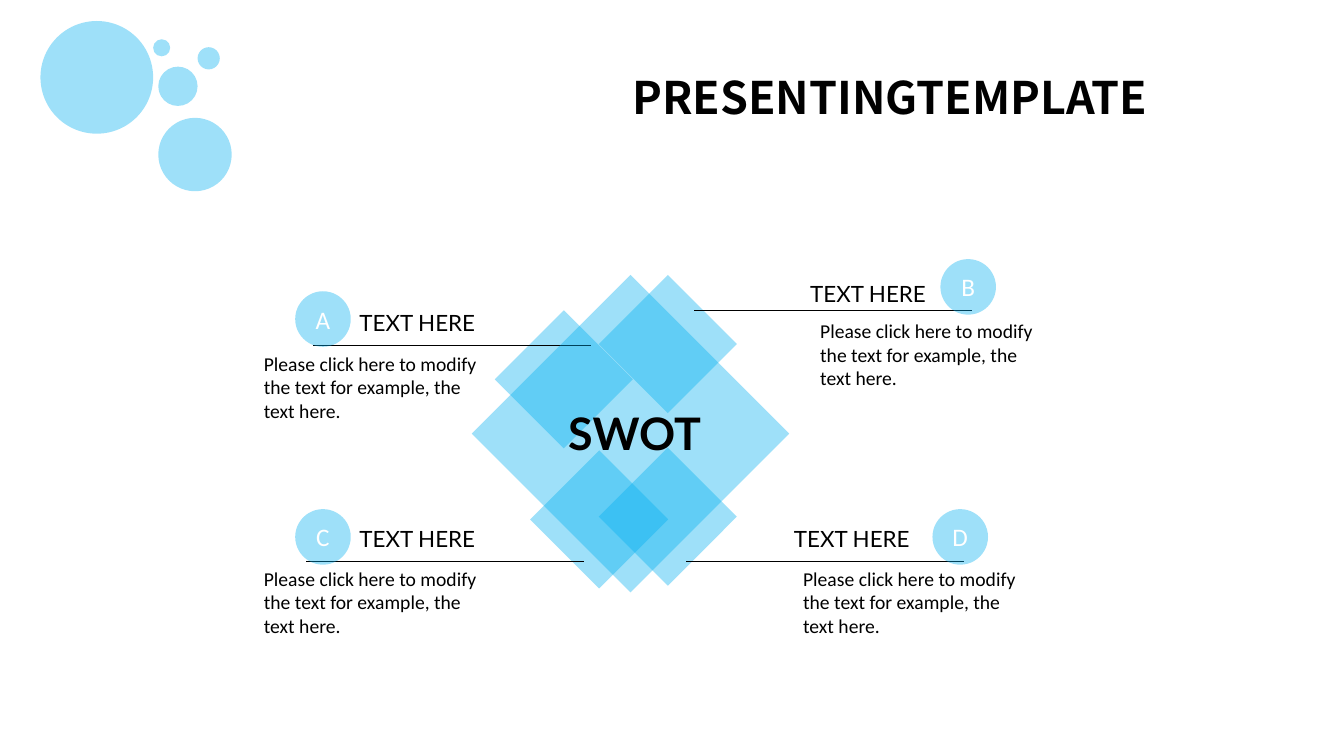
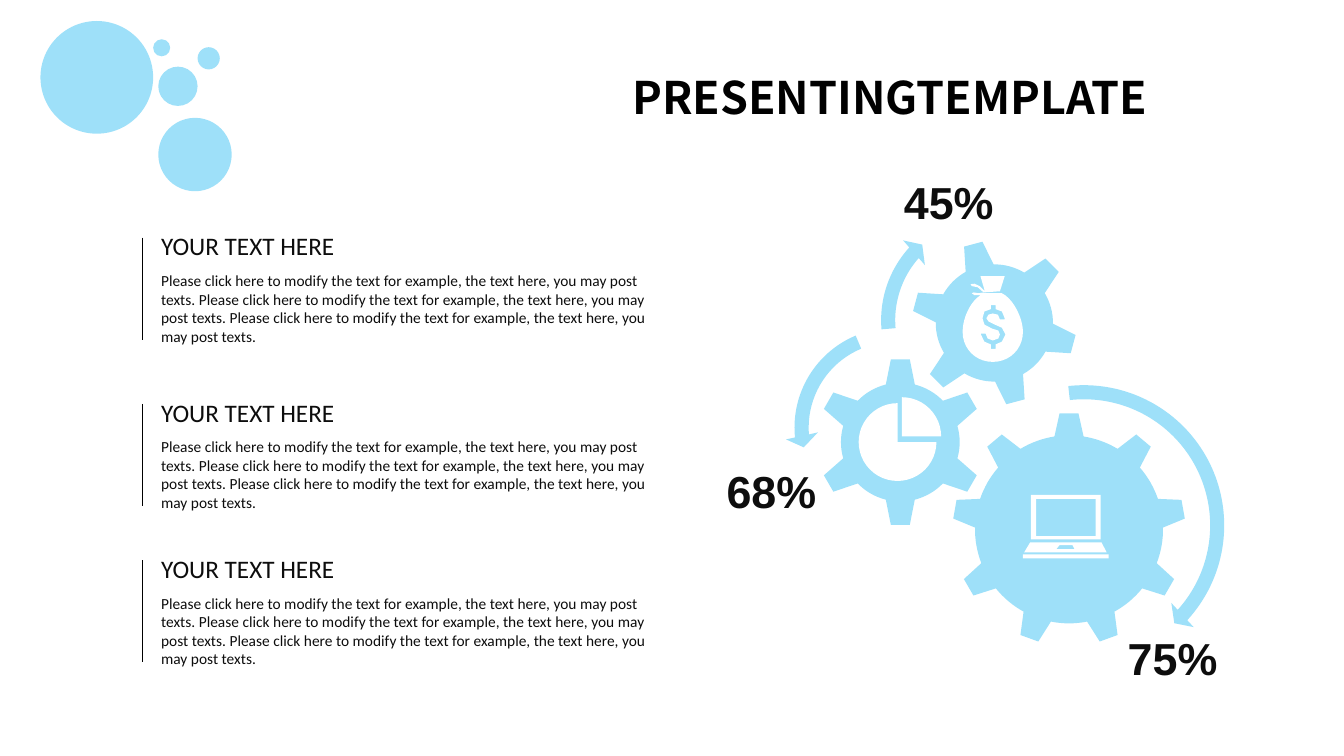
"""Build a SWOT slide and a gear slide that share one title and bubble design."""
from math import atan2, cos, hypot, radians, sin

from lxml.etree import SubElement
from pptx import Presentation
from pptx.dml.color import RGBColor
from pptx.enum.shapes import MSO_CONNECTOR, MSO_SHAPE as SHAPE
from pptx.enum.text import MSO_ANCHOR as ANCHOR, MSO_AUTO_SIZE as AUTO_SIZE, PP_ALIGN as ALIGN
from pptx.oxml.ns import qn
from pptx.util import Cm, Pt

SKY = RGBColor(0x00, 0xB0, 0xF0)
WHITE = RGBColor(0xFF, 0xFF, 0xFF)
BLACK = RGBColor(0x00, 0x00, 0x00)
INK = RGBColor(0x0D, 0x0D, 0x0D)
SKY_ALPHA = "38000"

TITLE = {"name": "Noto Sans CJK SC", "size": Pt(32), "bold": True}
HUB = {"name": "Lato", "size": Pt(32), "bold": True}
LABEL = {"name": "Lato", "size": Pt(16)}
BADGE = {"name": "Calibri", "size": Pt(18)}
NOTE = {"name": "Calibri", "size": Pt(14)}
HEADING = {"name": "Calibri", "size": Pt(18)}
DETAIL = {"name": "Calibri", "size": Pt(11)}
PERCENT = {"name": "Arial", "size": Pt(32), "bold": True}

TITLE_TEXT = "PRESENTINGTEMPLATE"
BUBBLES = [(1.02, 0.53, 2.84), (3.86, 0.99, 0.43), (4.98, 1.19, 0.56),
           (3.99, 1.68, 0.99), (3.99, 2.97, 1.85)]

DIAMOND_SIZE = 3.48
DIAMONDS = [(12.47, 7.82), (13.36, 11.35), (15.09, 11.28), (15.09, 6.93)]
RULE_LENGTH = 7
BADGE_SIZE = 1.4
NOTE_TEXT = "Please click here to modify the text for example, the text here."
SWOT_ITEMS = [
    ("A", (7.9, 8.69), (7.44, 7.34), (8.81, 7.67), (6.4, 8.74, 5.97)),
    ("B", (17.5, 7.82), (23.7, 6.53), (20.17, 6.93), (20.42, 7.92, 6.32)),
    ("C", (7.72, 14.15), (7.44, 12.83), (8.81, 13.11), (6.4, 14.15, 5.97)),
    ("D", (17.3, 14.15), (23.5, 12.83), (19.76, 13.11), (19.99, 14.15, 6.32)),
]

DETAIL_TEXT = " ".join(
    ["Please click here to modify the text for example, the text here, you may post texts."] * 3)
BLOCK_TOPS = [5.69, 9.88, 13.82]
GEARS = [((26.94, 13.34), 9, 0, 2.36, 2.93),
         ((22.69, 11.14), 6, 0, 1.47, 2.1),
         ((25.06, 8.14), 6, -15, 1.45, 2.07)]
ROOT_HALF, TIP_HALF = 0.37, 0.24
ARROWS = [
    (SHAPE.CIRCULAR_ARROW, 23.55, 9.47, 7.54, (0.047, 2.99, 25.393, 158.123, 0.055)),
    (SHAPE.LEFT_CIRCULAR_ARROW, 19.79, 8.03, 5.49, (0.065, 4.3, 104.891, 148.378, 0.075)),
    (SHAPE.CIRCULAR_ARROW, 21.97, 5.11, 5.92, (0.06, 3.941, 133.138, 105.082, 0.07)),
]
PIES = [(21.64, 10.16, 1.96, (0, 162)), (21.74, 10.01, 1.98, (162, 0))]
PERCENTS = [("45%", 22.53, 4.27), ("68%", 18.06, 11.56), ("75%", 28.17, 15.77)]

LAPTOP_BASE = [(25.96, 13.67), (27.76, 13.67), (27.89, 13.92), (25.81, 13.92)]
LAPTOP_PAD = [(26.62, 13.84), (26.7, 13.74), (27.03, 13.74), (27.08, 13.84)]
BAG_NECK = [(25.2, 7.34), (25.32, 6.96), (24.71, 6.96), (24.82, 7.34), (24.69, 7.21),
            (24.56, 7.15), (24.46, 7.16), (24.49, 7.21), (24.64, 7.24), (24.79, 7.37)]
BAG_CURVE = [(25.25, 7.39), (25.55, 7.54), (25.78, 8.03), (25.78, 8.36),
             (25.78, 8.79), (25.45, 9.12), (25.02, 9.12),
             (24.59, 9.12), (24.26, 8.79), (24.26, 8.36),
             (24.26, 8.05), (24.43, 7.62), (24.71, 7.44)]
BAG_TIE = [(24.64, 7.44), (24.56, 7.44), (24.49, 7.39), (24.54, 7.37),
           (24.66, 7.39), (24.79, 7.37), (24.77, 7.39)]
DOLLAR_CENTRE = (25.03, 8.24)
DOLLAR = [(0.22, 0.37), (0.06, 0.44), (0.06, 0.55), (-0.06, 0.55), (-0.06, 0.44),
          (-0.22, 0.37), (-0.31, 0.19), (-0.31, 0.17), (-0.19, 0.17), (-0.14, 0.29),
          (-0.01, 0.34), (0.13, 0.29), (0.17, 0.19), (0.13, 0.09), (-0.03, 0.04),
          (-0.22, -0.06), (-0.27, -0.22), (-0.22, -0.39), (-0.06, -0.45), (-0.06, -0.55),
          (0.06, -0.55), (0.06, -0.45), (0.22, -0.39), (0.29, -0.22), (0.29, -0.19),
          (0.17, -0.19), (0.12, -0.31), (-0.01, -0.34), (-0.12, -0.31), (-0.17, -0.22),
          (-0.12, -0.14), (0.02, -0.07), (0.22, 0.02), (0.31, 0.19)]


def paint(shape, colour):
    """Give a shape a plain fill, translucent when it is sky blue."""
    shape.shadow.inherit = False
    shape.line.fill.background()
    shape.fill.solid()
    shape.fill.fore_color.rgb = colour
    if colour == SKY:
        solid = shape._element.spPr.find(qn("a:solidFill"))
        SubElement(solid[0], qn("a:alpha"), val=SKY_ALPHA)
    return shape


def write(frame, text, style, colour, align=ALIGN.LEFT, anchor=ANCHOR.TOP, wrap=True):
    """Put one styled paragraph into a text frame."""
    layout = {"word_wrap": wrap, "auto_size": AUTO_SIZE.NONE, "vertical_anchor": anchor}
    for key, value in layout.items():
        setattr(frame, key, value)
    para = frame.paragraphs[0]
    para.alignment = align
    span = para.add_run()
    span.text = text
    for key, value in style.items():
        setattr(span.font, key, value)
    span.font.color.rgb = colour


def add_text(page, text, left, top, width, height, style, colour, **layout):
    """Add a text box with one paragraph."""
    box = page.shapes.add_textbox(Cm(left), Cm(top), Cm(width), Cm(height))
    write(box.text_frame, text, style, colour, **layout)


def add_figure(page, kind, left, top, size, colour=SKY, adjustments=()):
    """Add a preset shape with equal width and height."""
    shape = page.shapes.add_shape(kind, Cm(left), Cm(top), Cm(size), Cm(size))
    for index, value in enumerate(adjustments):
        shape.adjustments[index] = value
    return paint(shape, colour)


def add_rule(page, left, top, right, bottom):
    """Add a thin black line."""
    rule = page.shapes.add_connector(
        MSO_CONNECTOR.STRAIGHT, Cm(left), Cm(top), Cm(right), Cm(bottom))
    rule.line.color.rgb = BLACK
    rule.line.width = Pt(0.5)
    SubElement(rule._element.spPr, qn("a:effectLst"))


def add_outline(page, contours, colour):
    """Add one freeform whose inner contours are holes."""
    contours = [[(Cm(x), Cm(y)) for x, y in contour] for contour in contours]
    builder = page.shapes.build_freeform(*contours[0][0])
    for index, contour in enumerate(contours):
        if index:
            builder.move_to(*contour[0])
        builder.add_line_segments(contour[1:], close=True)
    paint(builder.convert_to_shape(), colour)


def rectangle(left, top, right, bottom):
    """Return the corners of a rectangle."""
    return [(left, top), (right, top), (right, bottom), (left, bottom)]


def curve(points, steps=10):
    """Sample a chain of cubic Bezier curves."""
    samples = [points[0]]
    for first in range(0, len(points) - 1, 3):
        controls = points[first:first + 4]
        for step in range(1, steps + 1):
            t = step / steps
            weights = ((1 - t) ** 3, 3 * t * (1 - t) ** 2, 3 * t * t * (1 - t), t ** 3)
            samples.append(tuple(
                sum(weight * point[axis] for weight, point in zip(weights, controls))
                for axis in (0, 1)))
    return samples


def gear_outline(centre, teeth, turn, root, tip, steps=8):
    """Return the points of a gear whose first tooth is turned from the top."""
    pitch = radians(360 / teeth)
    root_angle = atan2(ROOT_HALF, root)
    tip_angle = atan2(TIP_HALF, tip)
    root_radius = hypot(ROOT_HALF, root) - 0.02
    gap = pitch - 2 * root_angle
    profile = [(-tip_angle, tip), (tip_angle, tip)]
    profile += [(root_angle + gap * step / steps, root_radius) for step in range(steps + 1)]
    return [(centre[0] + radius * sin(angle), centre[1] - radius * cos(angle))
            for tooth in range(teeth)
            for angle, radius in ((radians(turn) + tooth * pitch + offset, radius)
                                  for offset, radius in profile)]


def add_page(deck):
    """Add a slide with the shared bubbles and title."""
    page = deck.slides.add_slide(deck.slide_layouts[5])
    for bubble in BUBBLES:
        add_figure(page, SHAPE.OVAL, *bubble)
    title = page.shapes.title
    place = {"left": 14.55, "top": 1.65, "width": 15.75, "height": 1.55}
    for key, value in place.items():
        setattr(title, key, Cm(value))
    write(title.text_frame, TITLE_TEXT, TITLE, BLACK,
          align=ALIGN.CENTER, anchor=ANCHOR.MIDDLE)
    return page


def add_swot_item(page, letter, rule, badge, label, note):
    """Add a lettered badge with its line, label and note."""
    left, top = rule
    add_rule(page, left, top, left + RULE_LENGTH, top)
    circle = add_figure(page, SHAPE.FLOWCHART_CONNECTOR, *badge, BADGE_SIZE)
    write(circle.text_frame, letter, BADGE, WHITE, align=ALIGN.CENTER, anchor=ANCHOR.MIDDLE)
    add_text(page, "TEXT HERE", *label, 3.56, 0.94, LABEL, BLACK, wrap=False)
    add_text(page, NOTE_TEXT, *note, 2.06, NOTE, BLACK)


def add_block(page, top):
    """Add a heading and paragraph beside an upright line."""
    add_text(page, DETAIL_TEXT, 3.81, top + 1.02, 13.18, 2.13, DETAIL, INK)
    add_text(page, "YOUR TEXT HERE", 3.81, top, 4.93, 1.02, HEADING, INK, wrap=False)
    add_rule(page, 3.58, top + 0.3, 3.58, top + 2.87)


def add_icons(page):
    """Add the laptop, pie and money bag on the gears."""
    laptop = [rectangle(25.98, 12.47, 27.74, 13.59), rectangle(26.11, 12.57, 27.61, 13.51),
              LAPTOP_BASE, LAPTOP_PAD, rectangle(25.78, 13.97, 27.94, 14.07)]
    add_outline(page, laptop, WHITE)
    for left, top, size, angles in PIES:
        add_figure(page, SHAPE.PIE, left, top, size, WHITE, angles)
    add_outline(page, [BAG_NECK], WHITE)
    dollar = [(DOLLAR_CENTRE[0] + x, DOLLAR_CENTRE[1] + y) for x, y in DOLLAR]
    add_outline(page, [curve(BAG_CURVE) + BAG_TIE, dollar], WHITE)


def build_swot(deck):
    """Build the SWOT slide."""
    page = add_page(deck)
    for left, top in DIAMONDS:
        add_figure(page, SHAPE.DIAMOND, left, top, DIAMOND_SIZE)
    for item in SWOT_ITEMS:
        add_swot_item(page, *item)
    add_figure(page, SHAPE.DIAMOND, 11.89, 6.93, 8)
    add_text(page, "SWOT", 13.94, 10.11, 4.11, 1.63, HUB, BLACK,
             align=ALIGN.CENTER, wrap=False)


def build_gears(deck):
    """Build the gear slide."""
    page = add_page(deck)
    for gear in GEARS:
        add_outline(page, [gear_outline(*gear)], SKY)
    for kind, left, top, size, adjustments in ARROWS:
        add_figure(page, kind, left, top, size, SKY, adjustments)
    for top in BLOCK_TOPS:
        add_block(page, top)
    add_icons(page)
    for text, left, top in PERCENTS:
        add_text(page, text, left, top, 2.79, 1.63, PERCENT, INK, wrap=False)


def main():
    """Build and save the deck."""
    deck = Presentation()
    deck.slide_width, deck.slide_height = Cm(33.87), Cm(19.05)
    build_swot(deck)
    build_gears(deck)
    deck.save("out.pptx")


if __name__ == "__main__":
    main()
